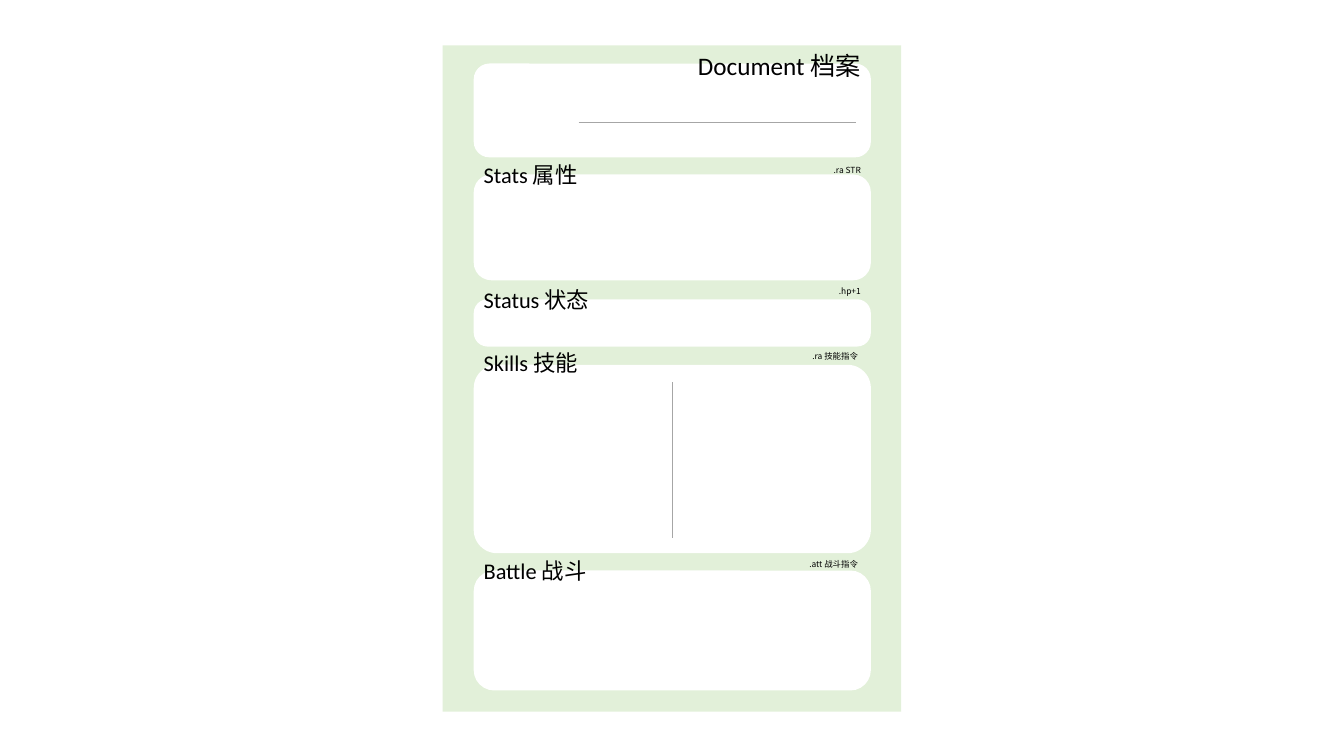
from collections import namedtuple

from lxml import etree
from pptx import Presentation
from pptx.dml.color import RGBColor
from pptx.enum.shapes import MSO_CONNECTOR, MSO_SHAPE
from pptx.enum.text import MSO_ANCHOR, MSO_AUTO_SIZE, PP_ALIGN
from pptx.oxml.ns import qn
from pptx.util import Pt

RECTANGLE = MSO_SHAPE.RECTANGLE
ROUNDED = MSO_SHAPE.ROUNDED_RECTANGLE
STRAIGHT = MSO_CONNECTOR.STRAIGHT
TOP = MSO_ANCHOR.TOP
GROW = MSO_AUTO_SIZE.SHAPE_TO_FIT_TEXT
LEFT, RIGHT = PP_ALIGN.LEFT, PP_ALIGN.RIGHT

LATIN = "Calibri"
CHINESE = "Noto Sans CJK SC"
GREEN, WHITE, GRAY, BLACK = "E2F0D9", "FFFFFF", "A6A6A6", "000000"
TITLE_ONLY = 5
CARD_LEFT, CARD_WIDTH = 338.4, 283.7

Section = namedtuple(
    "Section", "heading heading_top command command_left command_top top height corner")
SECTIONS = [
    Section("Stats 属性", 111.6, ".ra STR", 566.6, 114.5, 124.6, 75.6, 0.167),
    Section("Status 状态", 200.9, ".hp+1", 566.6, 200.9, 213.8, 33.8, 0.292),
    Section("Skills 技能", 246.2, ".ra 技能指令", 564.5, 247, 260.6, 134.6, 0.124),
    Section("Battle 战斗", 394.6, ".att 战斗指令", 564.5, 396, 407.5, 85.7, 0.171),
]


def color(value):
    return RGBColor.from_string(value)


def place(box, left, top, width, height):
    box.left, box.top, box.width, box.height = Pt(left), Pt(top), Pt(width), Pt(height)


def add_panel(page, kind, left, top, width, height, fill, corner=None):
    panel = page.shapes.add_shape(kind, Pt(left), Pt(top), Pt(width), Pt(height))
    panel.shadow.inherit = False
    panel.fill.solid()
    panel.fill.fore_color.rgb = color(fill)
    panel.line.fill.background()
    if corner is not None:
        panel.adjustments[0] = corner


def add_card(page, top, height, corner):
    add_panel(page, ROUNDED, CARD_LEFT, top, CARD_WIDTH, height, WHITE, corner)


def add_rule(page, start_x, start_y, end_x, end_y):
    rule = page.shapes.add_connector(
        STRAIGHT, Pt(start_x), Pt(start_y), Pt(end_x), Pt(end_y))
    rule.line.color.rgb = color(GRAY)
    rule.line.width = Pt(0.5)
    etree.SubElement(rule.element.spPr, qn("a:effectLst"))


def write(box, text, size=16, font=LATIN, align=LEFT):
    frame = box.text_frame
    frame.word_wrap = True
    frame.auto_size = GROW
    frame.vertical_anchor = TOP
    para = frame.paragraphs[0]
    para.alignment = align
    para.line_spacing = 1.0
    span = para.add_run()
    span.text = text
    span.font.size = Pt(size)
    span.font.name = font
    span.font.color.rgb = color(BLACK)
    latin = span.font._element.find(qn("a:latin"))
    latin.addnext(latin.makeelement(qn("a:ea"), {"typeface": CHINESE}))


def add_label(page, text, left, top, width, height, **style):
    box = page.shapes.add_textbox(Pt(left), Pt(top), Pt(width), Pt(height))
    write(box, text, **style)


def add_title(page, text):
    title = page.shapes.title
    place(title, 486, 32.4, 136.1, 29.1)
    write(title, text, size=18, align=RIGHT)
    title.element.getparent().append(title.element)


def add_section(page, section):
    add_card(page, section.top, section.height, section.corner)
    add_label(page, section.heading, CARD_LEFT, section.heading_top, 119.5, 26.6)
    add_label(page, section.command, section.command_left, section.command_top,
              55.4, 14.4, size=6, font=CHINESE, align=RIGHT)


def main():
    deck = Presentation()
    deck.slide_width, deck.slide_height = Pt(960), Pt(540)
    page = deck.slides.add_slide(deck.slide_layouts[TITLE_ONLY])
    add_panel(page, RECTANGLE, 316.1, 32.4, 327.6, 475.9, GREEN)
    add_card(page, 45.4, 67, 0.167)
    add_rule(page, 413.3, 87.1, 611.3, 87.1)
    add_title(page, "Document 档案")
    for section in SECTIONS:
        add_section(page, section)
    add_rule(page, 480.2, 272.9, 480.2, 384.5)
    deck.save("out.pptx")


if __name__ == "__main__":
    main()
